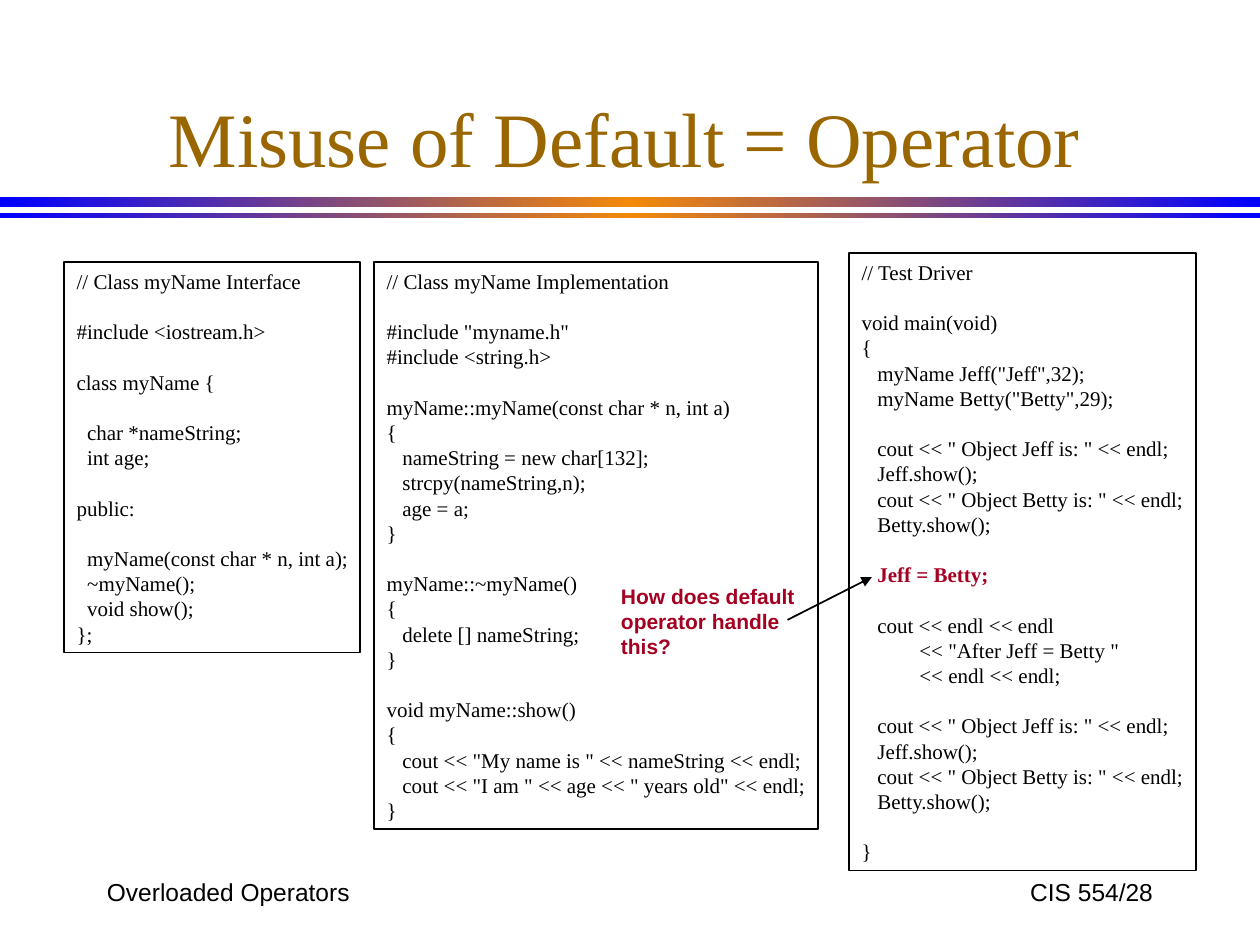
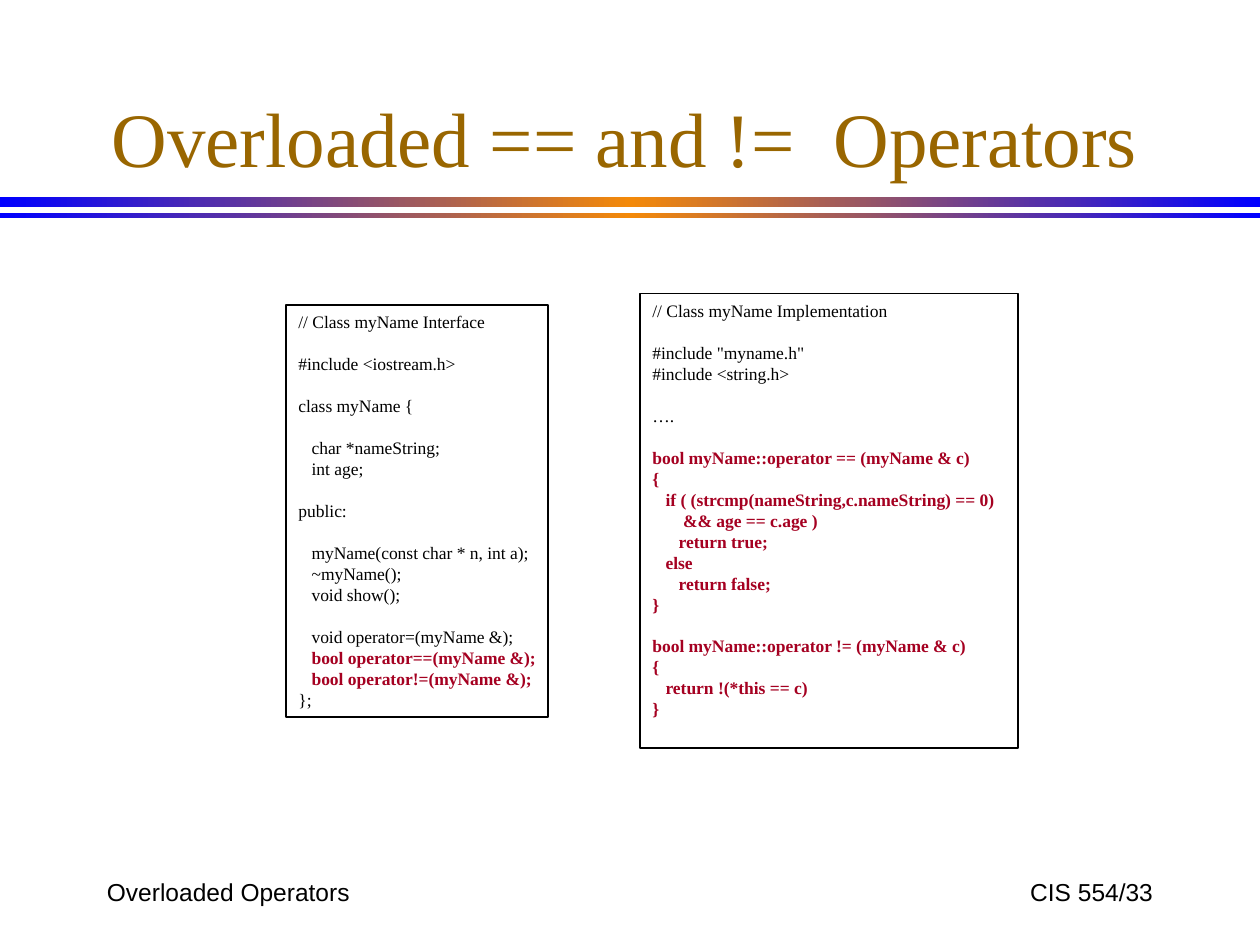
"""Build two lecture slides on overloaded operators."""
import copy
from dataclasses import dataclass

import lxml.etree
import pptx
import pptx.dml.color
import pptx.enum.shapes
import pptx.enum.text
import pptx.oxml.ns
import pptx.shapes.autoshape
import pptx.slide
import pptx.text.text
import pptx.util

Inches = pptx.util.Inches
Pt = pptx.util.Pt
RGBColor = pptx.dml.color.RGBColor
Align = pptx.enum.text.PP_ALIGN
Anchor = pptx.enum.text.MSO_ANCHOR
Rect = pptx.enum.shapes.MSO_SHAPE.RECTANGLE
qn = pptx.oxml.ns.qn

BLACK = RGBColor(0x00, 0x00, 0x00)
BROWN = RGBColor(0x99, 0x66, 0x00)
RED = RGBColor(0xA5, 0x00, 0x21)
BLUE = RGBColor(0x00, 0x00, 0xFF)
ORANGE = RGBColor(0xF3, 0x89, 0x09)
SERIF = "Times New Roman"
SANS = "Arial"
LEADING = 1.2
SPACE = 0.25
MARK = "@"


@dataclass(frozen=True)
class Place:
    """Left, top, width and height in inches."""
    left: float
    top: float
    width: float
    height: float

    def spans(self) -> tuple:
        """Return the four lengths."""
        return tuple(map(Inches, (self.left, self.top, self.width, self.height)))


@dataclass(frozen=True)
class Style:
    """Look of a piece of text."""
    font: str
    size: int
    color: RGBColor
    bold: bool = False
    align: Align = Align.LEFT
    anchor: Anchor = Anchor.TOP


@dataclass(frozen=True)
class Code:
    """Framed listing; lines that start with MARK are red."""
    place: Place
    size: int
    text: str


@dataclass(frozen=True)
class Page:
    """Content of one slide."""
    title: str
    number: int
    codes: tuple[Code, ...]


TITLE = Style(SERIF, 44, BROWN, align=Align.CENTER, anchor=Anchor.BOTTOM)
FOOT = Style(SANS, 14, BLACK, anchor=Anchor.MIDDLE)
FOOT_END = Style(SANS, 14, BLACK, align=Align.RIGHT, anchor=Anchor.MIDDLE)
NOTE = Style(SANS, 12, RED, bold=True)
BANDS = (Place(0, 1.56, 10, 0.08), Place(0, 1.69, 10, 0.04))

FACE = """
// Class myName Interface

#include <iostream.h>

class myName {

  char *nameString;
  int age;

public:

  myName(const char * n, int a);
  ~myName();
  void show();
};
"""

BODY = """
// Class myName Implementation

#include "myname.h"
#include <string.h>

myName::myName(const char * n, int a)
{
   nameString = new char[132];
   strcpy(nameString,n);
   age = a;
}

myName::~myName()
{
   delete [] nameString;
}

void myName::show()
{
   cout << "My name is " << nameString << endl;
   cout << "I am " << age << " years old" << endl;
}
"""

SHOW = """
   cout << " Object Jeff is: " << endl;
   Jeff.show();
   cout << " Object Betty is: " << endl;
   Betty.show();
"""

DRIVER = f"""
// Test Driver

void main(void)
{{
   myName Jeff("Jeff",32);
   myName Betty("Betty",29);
{SHOW}
@   Jeff = Betty;

   cout << endl << endl
           << "After Jeff = Betty "
           << endl << endl;
{SHOW}
}}
"""

FACE_MORE = """
// Class myName Interface

#include <iostream.h>

class myName {

   char *nameString;
   int age;

public:

   myName(const char * n, int a);
   ~myName();
   void show();

   void operator=(myName &);
@   bool operator==(myName &);
@   bool operator!=(myName &);
};
"""

BODY_MORE = """
// Class myName Implementation

#include "myname.h"
#include <string.h>

….

@bool myName::operator == (myName & c)
@{
@   if ( (strcmp(nameString,c.nameString) == 0)
@       && age == c.age )
@      return true;
@   else
@      return false;
@}

@bool myName::operator != (myName & c)
@{
@   return !(*this == c)
@}
"""

MISUSE = Page("Misuse of Default = Operator", 28, (
    Code(Place(0.51, 2.08, 2.35, 3.1), 12, FACE),
    Code(Place(2.97, 2.08, 3.52, 4.5), 12, BODY),
    Code(Place(6.74, 2.01, 2.75, 4.9), 12, DRIVER),
))
EQUALS = Page("Overloaded == and !=  Operators", 33, (
    Code(Place(2.27, 2.42, 2.08, 3.27), 10, FACE_MORE),
    Code(Place(5.08, 2.33, 3, 3.61), 10, BODY_MORE),
))


def add_run(para: pptx.text.text._Paragraph, text: str, style: Style) -> None:
    """Add one styled run."""
    para.alignment = style.align
    run = para.add_run()
    run.text = text
    run.font.name = style.font
    run.font.size = Pt(style.size)
    run.font.bold = style.bold
    run.font.color.rgb = style.color


def add_text(slide: pptx.slide.Slide, place: Place, text: str,
             style: Style) -> pptx.text.text._Paragraph:
    """Add a text box with one paragraph."""
    frame = slide.shapes.add_textbox(*place.spans()).text_frame
    frame.word_wrap = True
    frame.vertical_anchor = style.anchor
    add_run(frame.paragraphs[0], text, style)
    return frame.paragraphs[0]


def add_rect(slide: pptx.slide.Slide, place: Place) -> pptx.shapes.autoshape.Shape:
    """Add a rectangle with no shadow."""
    shape = slide.shapes.add_shape(Rect, *place.spans())
    shape.shadow.inherit = False
    return shape


def add_band(slide: pptx.slide.Slide, place: Place) -> None:
    """Add a band that fades from blue to orange and back."""
    band = add_rect(slide, place)
    band.line.fill.background()
    band.fill.gradient()
    band.fill.gradient_angle = 0
    stops = band._element.spPr.find(qn("a:gradFill")).find(qn("a:gsLst"))
    stops.append(copy.deepcopy(stops[-1]))
    tones = zip(band.fill.gradient_stops, (0, 0.5, 1), (BLUE, ORANGE, BLUE))
    for stop, spot, color in tones:
        stop.position = spot
        stop.color.rgb = color


def add_code(slide: pptx.slide.Slide, code: Code) -> None:
    """Add a framed listing, with blank lines and indents as spacing."""
    box = add_rect(slide, code.place)
    box.fill.background()
    box.line.color.rgb = BLACK
    box.line.width = Pt(1)
    frame = box.text_frame
    frame.word_wrap = True
    frame.margin_right = 0
    frame.vertical_anchor = Anchor.TOP
    pitch = code.size * LEADING
    para, gap = frame.paragraphs[0], 0
    for row, line in enumerate(code.text.strip().splitlines()):
        if not line:
            gap += 1
            continue
        if row:
            para = frame.add_paragraph()
        marked = line.startswith(MARK)
        line = line.removeprefix(MARK)
        text = line.lstrip()
        indent = (len(line) - len(text)) * SPACE * code.size
        para._p.get_or_add_pPr().set("marL", str(Pt(indent)))
        para.line_spacing = Pt(pitch)
        para.space_before = Pt(gap * pitch)
        color = RED if marked else BLACK
        add_run(para, text, Style(SERIF, code.size, color, marked))
        gap = 0


def add_note(slide: pptx.slide.Slide) -> None:
    """Add the question and its arrow."""
    para = add_text(slide, Place(4.83, 4.58, 1.58, 0.7),
                    "How does default operator handle this?", NOTE)
    para.line_spacing = Pt(NOTE.size * LEADING)
    kind = pptx.enum.shapes.MSO_CONNECTOR.STRAIGHT
    ends = map(Inches, (6.25, 4.92, 6.92, 4.58))
    arrow = slide.shapes.add_connector(kind, *ends)
    arrow.line.color.rgb = BLACK
    arrow.line.width = Pt(1)
    props = arrow._element.spPr
    lxml.etree.SubElement(props.find(qn("a:ln")), qn("a:tailEnd"), type="triangle")
    lxml.etree.SubElement(props, qn("a:effectLst"))


def add_page(deck: pptx.presentation.Presentation, page: Page) -> pptx.slide.Slide:
    """Add a slide with bands, footers, title and listings."""
    slide = deck.slides.add_slide(deck.slide_layouts[6])
    for place in BANDS:
        add_band(slide, place)
    add_text(slide, Place(0.75, 6.83, 2.5, 0.5), "Overloaded Operators", FOOT)
    add_text(slide, Place(7.17, 6.83, 2.08, 0.5), f"CIS 554/{page.number}", FOOT_END)
    add_text(slide, Place(0.67, 0.25, 8.58, 1.25), page.title, TITLE)
    for code in page.codes:
        add_code(slide, code)
    return slide


def main() -> None:
    """Build and save the deck."""
    deck = pptx.Presentation()
    deck.slide_width, deck.slide_height = Inches(10), Inches(7.5)
    add_note(add_page(deck, MISUSE))
    add_page(deck, EQUALS)
    deck.save("out.pptx")


if __name__ == "__main__":
    main()
